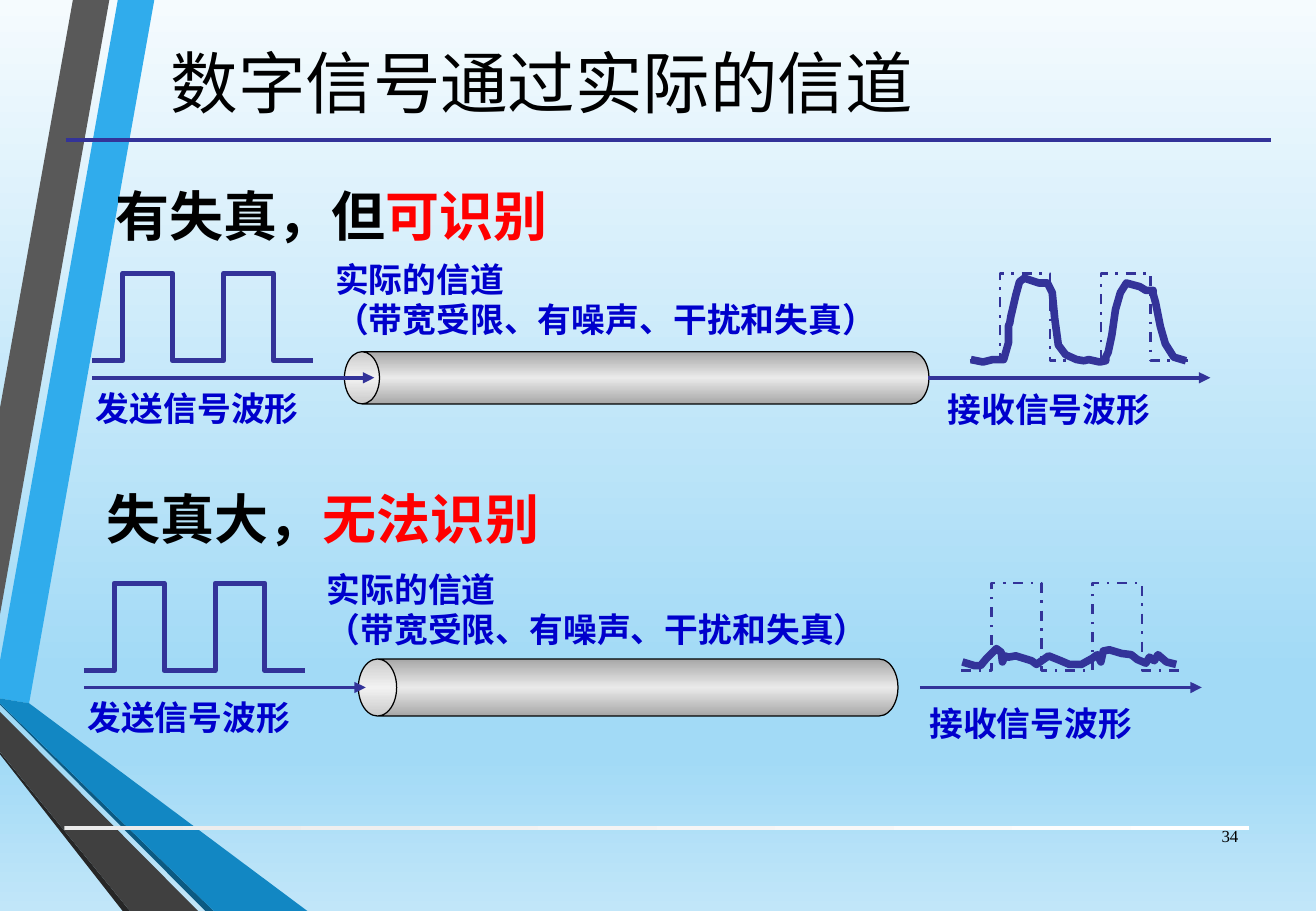
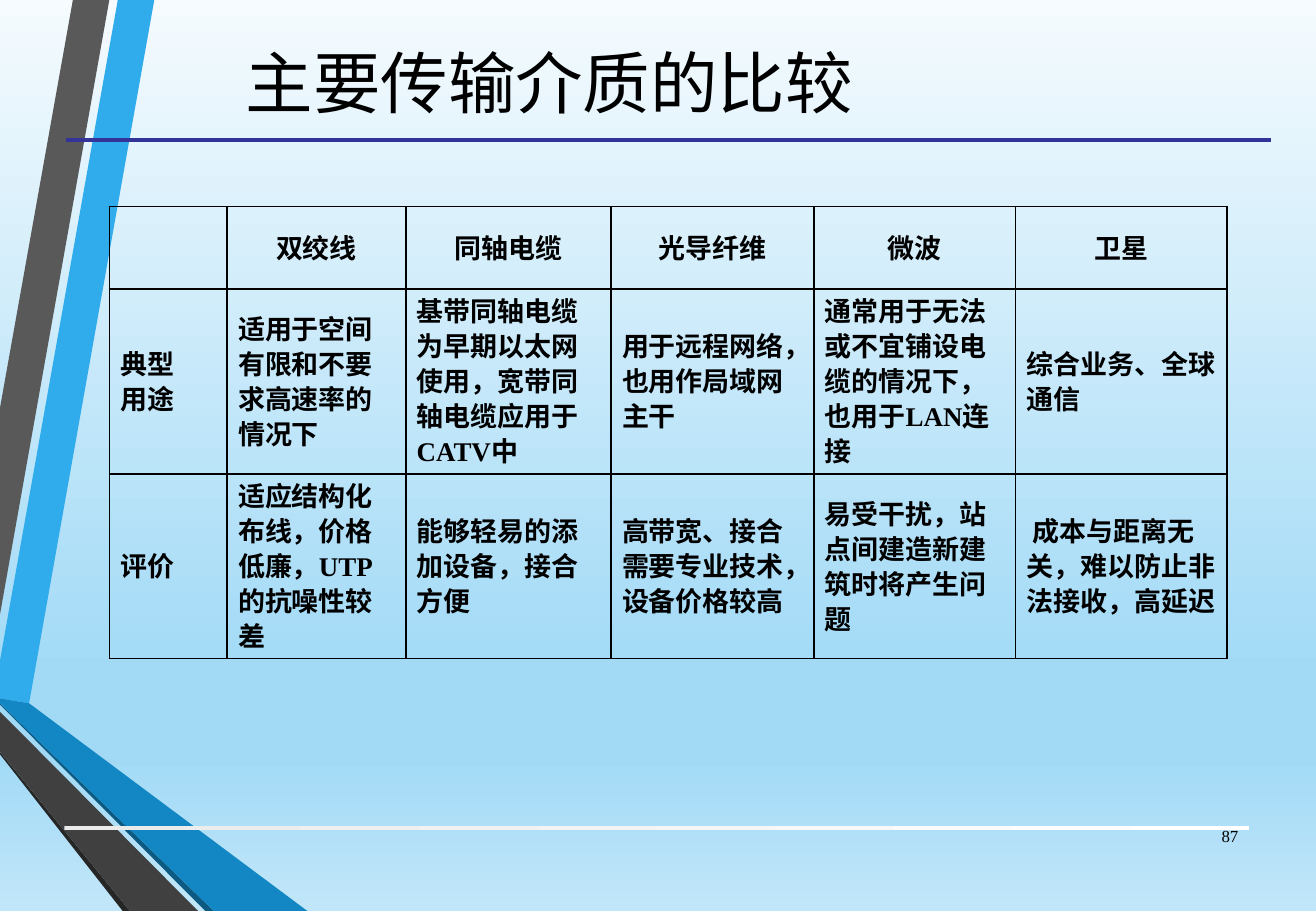
"""Build two slides on digital channels and transmission media."""
from lxml import etree
from pptx import Presentation
from pptx.dml.color import RGBColor
from pptx.enum.dml import MSO_LINE
from pptx.enum.shapes import MSO_CONNECTOR, MSO_SHAPE
from pptx.enum.text import MSO_ANCHOR, MSO_AUTO_SIZE, PP_ALIGN
from pptx.oxml.ns import qn
from pptx.util import Inches, Pt

CENTER, RIGHT, LEFT = PP_ALIGN.CENTER, PP_ALIGN.RIGHT, PP_ALIGN.LEFT
MIDDLE, TOP = MSO_ANCHOR.MIDDLE, MSO_ANCHOR.TOP
NO_FIT = MSO_AUTO_SIZE.NONE
DASH_DOT = MSO_LINE.DASH_DOT
STRAIGHT = MSO_CONNECTOR.STRAIGHT
CAN, RECTANGLE = MSO_SHAPE.CAN, MSO_SHAPE.RECTANGLE

COLORS = {
    "ink": "000000", "signal": "333399", "label": "0000CC", "alert": "FF0000",
    "sky": "30ACEC", "slate": "595959", "coal": "262626", "deep": "0C5A82",
    "ocean": "1287C3", "graphite": "404040",
}
BACKGROUND_STOPS = [(0, "F5FBFE"), (74, "A2DAF6"), (83, "A2DAF6"), (100, "C1E6F9")]
FOOTER_STOPS = [(0, "EBEBEB"), (100, "FFFFFF")]
TUBE_STOPS = [(0, "A7A7A7"), (50, "EAEAEA"), (100, "A7A7A7")]

FACE = "Times New Roman"
TITLE_FONT = {"name": FACE, "size": Pt(40), "bold": False}
HEADING_FONT = {"name": FACE, "size": Pt(32), "bold": True}
LABEL_FONT = {"name": FACE, "size": Pt(20), "bold": True}
CELL_FONT = {"name": FACE, "size": Pt(16), "bold": True}
NUMBER_FONT = {"name": FACE, "size": Pt(10), "bold": False}

RIBBONS = [
    ("sky", [(0, 5.44), (0, 5.75), (0.24, 5.79), (1.27, 0), (0.97, 0)]),
    ("slate", [(0.9, 0), (0.6, 0), (0, 3.36), (0, 5.06)]),
    ("coal", [(0, 6.19), (0, 6.21), (1.01, 7.5), (1.07, 7.5)]),
    ("deep", [(0, 5.79), (0, 5.8), (1.69, 7.5), (1.76, 7.5)]),
    ("ocean", [(0, 5.79), (1.76, 7.5), (2.53, 7.5), (0.24, 5.79), (0, 5.75)]),
    ("graphite", [(0, 6.19), (1.07, 7.5), (1.63, 7.5), (0, 5.86)]),
]

PULSE_HEIGHT = 0.72
PULSE_EDGES = [0.25, 0.66, 1.08, 1.49]
PULSE_END = 1.82
DISTORTED_TRACE = [
    (0.01, 0.71), (0.11, 0.73), (0.15, 0.72), (0.19, 0.71), (0.28, 0.71),
    (0.32, 0.57), (0.32, 0.43), (0.33, 0.41), (0.34, 0.35), (0.35, 0.31),
    (0.38, 0.18), (0.41, 0.07), (0.45, 0.04), (0.57, 0.08), (0.64, 0.08),
    (0.68, 0.16), (0.7, 0.37), (0.73, 0.59), (0.79, 0.67), (0.88, 0.71),
    (0.94, 0.72), (0.98, 0.71), (1.07, 0.73), (1.12, 0.72), (1.12, 0.69),
    (1.14, 0.65), (1.17, 0.51), (1.2, 0.3), (1.24, 0.16), (1.29, 0.08),
    (1.4, 0.11), (1.45, 0.14), (1.51, 0.14), (1.51, 0.17), (1.53, 0.24),
    (1.57, 0.44), (1.61, 0.58), (1.68, 0.69), (1.78, 0.72),
]
LOST_TRACE = [
    (0.01, 0.65), (0.11, 0.68), (0.16, 0.68), (0.21, 0.62), (0.29, 0.54),
    (0.33, 0.57), (0.34, 0.65), (0.36, 0.6), (0.39, 0.61), (0.45, 0.6),
    (0.58, 0.64), (0.62, 0.67), (0.72, 0.6), (0.82, 0.64), (0.89, 0.67),
    (0.99, 0.67), (1.08, 0.62), (1.12, 0.59), (1.15, 0.65), (1.17, 0.56),
    (1.22, 0.55), (1.32, 0.58), (1.4, 0.59), (1.45, 0.63), (1.52, 0.66),
    (1.55, 0.61), (1.59, 0.64), (1.62, 0.59), (1.69, 0.65), (1.77, 0.67),
]
CHANNELS = [
    {"left": 0.76, "top": 2.25, "heading": [("有失真，但", "ink"), ("可识别", "alert")],
     "spacing": 1.1, "tube": (4.81, 0.43), "receive_at": (6.94, 0.9),
     "trace": DISTORTED_TRACE},
    {"left": 0.69, "top": 4.8, "heading": [("失真大，", "ink"), ("无法识别", "alert")],
     "spacing": 1.0, "tube": (4.44, 0.47), "receive_at": (6.86, 0.94),
     "trace": LOST_TRACE},
]

MEDIA_COLUMNS = [0.97, 1.47, 1.69, 1.67, 1.66, 1.74]
MEDIA_ROWS = [0.68, 1.52, 1.52]
MEDIA = [
    ["", "双绞线", "同轴电缆", "光导纤维", "微波", "卫星"],
    ["典型\n用途", "适用于空间有限和不要求高速率的情况下",
     "基带同轴电缆为早期以太网使用，宽带同轴电缆应用于CATV中",
     "用于远程网络，也用作局域网主干",
     "通常用于无法或不宜铺设电缆的情况下，也用于LAN连接",
     "综合业务、全球通信"],
    ["评价", "适应结构化布线，价格低廉，UTP的抗噪性较差",
     "能够轻易的添加设备，接合方便",
     "高带宽、接合需要专业技术，设备价格较高",
     "易受干扰，站点间建造新建筑时将产生问题",
     " 成本与距离无关，难以防止非法接收，高延迟"],
]


def color(name):
    """Return the named colour."""
    return RGBColor.from_string(COLORS[name])


def assign(target, values):
    """Set each attribute in values on the target."""
    for key, value in values.items():
        setattr(target, key, value)


def style_font(font, values, tint):
    """Apply font values and a colour."""
    assign(font, values)
    font.color.rgb = color(tint)


def gradient(fill, owner, stops, angle):
    """Give a fill the gradient stops, in percent, inside its owner element."""
    fill.gradient()
    fill.gradient_angle = angle
    stop_list = owner.find(".//" + qn("a:gsLst"))
    for stop in list(stop_list):
        stop_list.remove(stop)
    for position, value in stops:
        stop = etree.SubElement(stop_list, qn("a:gs"), pos=str(position * 1000))
        etree.SubElement(stop, qn("a:srgbClr"), val=value)


def add_text(slide, box, paragraphs, font, align=LEFT, anchor=TOP, wrap=False, spacing=1.0):
    """Add a text box of paragraphs, each a list of (text, colour) runs."""
    frame = slide.shapes.add_textbox(*map(Inches, box)).text_frame
    assign(frame, {"word_wrap": wrap, "vertical_anchor": anchor, "auto_size": NO_FIT})
    for index, runs in enumerate(paragraphs):
        paragraph = frame.add_paragraph() if index else frame.paragraphs[0]
        assign(paragraph, {"alignment": align, "line_spacing": spacing})
        for text, tint in runs:
            run = paragraph.add_run()
            run.text = text
            style_font(run.font, font, tint)


def add_outline(slide, left, top, points, closed=False):
    """Draw an outline through points given relative to left and top."""
    places = [(Inches(left + x), Inches(top + y)) for x, y in points]
    builder = slide.shapes.build_freeform(*places[0], scale=1.0)
    builder.add_line_segments(places[1:], close=closed)
    outline = builder.convert_to_shape()
    outline.shadow.inherit = False
    return outline


def add_wave(slide, left, top, points, width, dash=None):
    """Draw an unfilled signal waveform."""
    wave = add_outline(slide, left, top, points)
    wave.fill.background()
    wave.line.color.rgb = color("signal")
    assign(wave.line, {"width": Pt(width), "dash_style": dash})


def add_rule(slide, left, top, length, arrow=False):
    """Draw a horizontal line, with an arrowhead if asked."""
    rule = slide.shapes.add_connector(
        STRAIGHT, Inches(left), Inches(top), Inches(left + length), Inches(top))
    rule.line.color.rgb = color("signal")
    rule.line.width = Pt(2.25)
    if arrow:
        etree.SubElement(rule.line._get_or_add_ln(), qn("a:tailEnd"), type="triangle")
    etree.SubElement(rule._element.spPr, qn("a:effectLst"))


def add_framed_slide(prs, title_text, number):
    """Add a slide with ribbons, rules, title and page number."""
    slide = prs.slides.add_slide(prs.slide_layouts[5])
    for tint, points in RIBBONS:
        ribbon = add_outline(slide, 0, 0, points, closed=True)
        ribbon.fill.solid()
        ribbon.fill.fore_color.rgb = color(tint)
        ribbon.line.fill.background()
    footer = slide.shapes.add_shape(RECTANGLE, *map(Inches, (0.53, 6.8, 9.75, 0.03)))
    footer.shadow.inherit = False
    gradient(footer.fill, footer._element, FOOTER_STOPS, 0)
    footer.line.fill.background()
    add_rule(slide, 0.54, 1.15, 9.92)

    title = slide.shapes.title
    title._element.getparent().append(title._element)
    assign(title, {"left": Inches(0.43), "top": Inches(0.05),
                   "width": Inches(8.18), "height": Inches(1.24)})
    frame = title.text_frame
    frame.text = title_text
    assign(frame, {"vertical_anchor": MIDDLE, "auto_size": NO_FIT, "word_wrap": True})
    frame.paragraphs[0].alignment = CENTER
    style_font(frame.paragraphs[0].runs[0].font, TITLE_FONT, "ink")
    add_text(slide, (9.78, 6.68, 0.51, 0.4), [[(number, "ink")]], NUMBER_FONT,
             align=RIGHT, anchor=MIDDLE, wrap=True)
    return slide


def pulse_points():
    """Return the corners of the two square pulses."""
    points, level = [(0, PULSE_HEIGHT)], PULSE_HEIGHT
    for edge in PULSE_EDGES:
        points.append((edge, level))
        level = PULSE_HEIGHT - level
        points.append((edge, level))
    return points + [(PULSE_END, PULSE_HEIGHT)]


def add_tube(slide, center_x, center_y, length, girth):
    """Draw the channel as a can lying on its side."""
    tube = slide.shapes.add_shape(
        CAN, Inches(center_x - girth / 2), Inches(center_y - length / 2),
        Inches(girth), Inches(length))
    tube.shadow.inherit = False
    tube.rotation = 270
    tube.adjustments[0] = 0.67
    gradient(tube.fill, tube._element, TUBE_STOPS, 0)
    tube.line.color.rgb = color("ink")
    tube.line.width = Pt(0.75)


def add_channel(slide, left, top, heading, spacing, tube, receive_at, trace):
    """Draw a sent signal, its channel and the received signal."""
    axis, received = top + 0.86, left + 7.22
    add_tube(slide, left + 4.48, axis, *tube)
    add_wave(slide, left, top, pulse_points(), 3)
    add_rule(slide, left, axis, 2.32, arrow=True)
    add_wave(slide, received, top, pulse_points(), 1.5, DASH_DOT)
    add_rule(slide, left + 6.88, axis, 2.32, arrow=True)
    add_wave(slide, received, top, trace, 4.5)
    labels = [
        ((1.9, -0.17, 4.69, 0.77), ["实际的信道", "（带宽受限、有噪声、干扰和失真）"]),
        ((-0.07, 0.89, 1.88, 0.44), ["发送信号波形"]),
        ((*receive_at, 2.2, 0.43), ["接收信号波形"]),
    ]
    for (x, y, width, height), lines in labels:
        add_text(slide, (left + x, top + y, width, height),
                 [[(line, "label")] for line in lines], LABEL_FONT)
    add_text(slide, (left + 0.09, top - 0.85, 3.8, 0.66), [heading],
             HEADING_FONT, spacing=spacing)


def add_borders(cell):
    """Draw a thin black line on each side of a cell."""
    properties = cell._tc.get_or_add_tcPr()
    for index, side in enumerate(("lnL", "lnR", "lnT", "lnB")):
        border = etree.Element(qn("a:" + side), w=str(Pt(1)))
        fill = etree.SubElement(border, qn("a:solidFill"))
        etree.SubElement(fill, qn("a:srgbClr"), val=COLORS["ink"])
        properties.insert(index, border)


def add_media_table(slide, left, top):
    """Add the comparison table of transmission media."""
    table = slide.shapes.add_table(
        len(MEDIA_ROWS), len(MEDIA_COLUMNS), Inches(left), Inches(top),
        Inches(sum(MEDIA_COLUMNS)), Inches(sum(MEDIA_ROWS))).table
    assign(table, {"first_row": False, "horz_banding": False})
    for column, width in zip(table.columns, MEDIA_COLUMNS):
        column.width = Inches(width)
    for row_index, (row, height, texts) in enumerate(zip(table.rows, MEDIA_ROWS, MEDIA)):
        row.height = Inches(height)
        for cell, text in zip(row.cells, texts):
            cell.text = text
            cell.fill.background()
            assign(cell, {"vertical_anchor": MIDDLE,
                          "margin_left": Inches(0.09), "margin_right": Inches(0.09),
                          "margin_top": Inches(0.04), "margin_bottom": Inches(0.04)})
            add_borders(cell)
            for paragraph in cell.text_frame.paragraphs:
                assign(paragraph, {"alignment": LEFT if row_index else CENTER,
                                   "line_spacing": 0.9})
                for run in paragraph.runs:
                    style_font(run.font, CELL_FONT, "ink")


def main():
    """Build and save the presentation."""
    prs = Presentation()
    assign(prs, {"slide_width": Inches(10.83), "slide_height": Inches(7.5)})
    master = prs.slide_master
    gradient(master.background.fill, master.element, BACKGROUND_STOPS, 270)

    channel_slide = add_framed_slide(prs, "数字信号通过实际的信道 ", "34")
    for channel in CHANNELS:
        add_channel(channel_slide, **channel)
    media_slide = add_framed_slide(prs, "主要传输介质的比较", "87")
    add_media_table(media_slide, 0.9, 1.7)
    prs.save("out.pptx")


if __name__ == "__main__":
    main()
